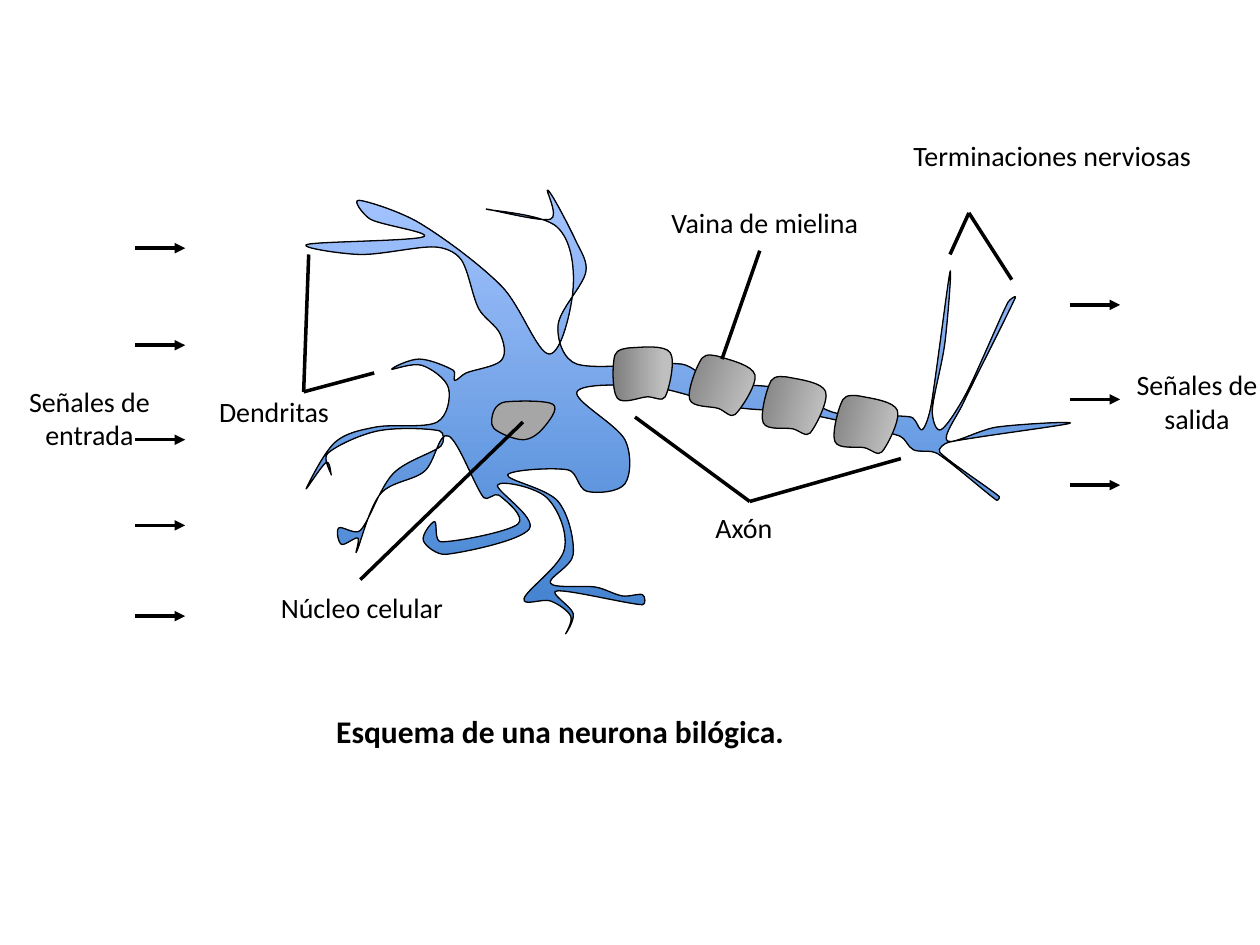
from math import hypot

from lxml import etree
from pptx import Presentation
from pptx.dml.color import RGBColor
from pptx.enum.shapes import MSO_CONNECTOR
from pptx.enum.text import MSO_AUTO_SIZE, PP_ALIGN
from pptx.oxml.ns import qn
from pptx.util import Inches, Pt

STRAIGHT = MSO_CONNECTOR.STRAIGHT
LEFT, CENTER = PP_ALIGN.LEFT, PP_ALIGN.CENTER
FIT_TEXT = MSO_AUTO_SIZE.SHAPE_TO_FIT_TEXT
BLACK = RGBColor(0x00, 0x00, 0x00)
DARK_BLUE = RGBColor(0x3F, 0x80, 0xCE)
LIGHT_BLUE = RGBColor(0xA4, 0xC4, 0xFF)
NUCLEUS_GRAY = RGBColor(0xA6, 0xA6, 0xA6)
DARK_GRAY = RGBColor(0x80, 0x80, 0x80)
LIGHT_GRAY = RGBColor(0xBF, 0xBF, 0xBF)

LEFT_DENDRITES = [
    (3.8, 2.45), (3.97, 2.65), (3.98, 2.86), (3.7, 2.96), (3.61, 3.02), (3.6, 2.94),
    (3.33, 2.85), (3.11, 2.93), (3.35, 2.9), (3.56, 3.08), (3.47, 3.35), (2.98, 3.39),
    (2.66, 3.51), (2.43, 3.88), (2.59, 3.67), (2.63, 3.77), (2.6, 3.6), (3, 3.42),
    (3.49, 3.42), (3.5, 3.54), (3.12, 3.76), (2.86, 4.21), (2.69, 4.19), (2.71, 4.32),
    (2.84, 4.27), (2.83, 4.38), (3.02, 3.92), (3.37, 3.74), (3.56, 3.46),
]
LOWER_DENDRITES = [
    (3.84, 3.95), (3.96, 3.93), (4.11, 4.16), (3.5, 4.3), (3.45, 4.14), (3.36, 4.29),
    (3.54, 4.4), (4.2, 4.2), (3.95, 3.85), (4.34, 3.95), (4.48, 4.36), (4.16, 4.75),
    (4.37, 4.77), (4.53, 4.89), (4.49, 5.03), (4.55, 4.87), (4.42, 4.69), (5.1, 4.8),
    (5.1, 4.72), (4.94, 4.73), (4.73, 4.66), (4.37, 4.63), (4.55, 4.4), (4.43, 3.98),
    (4.03, 3.77), (4.51, 3.73), (4.66, 3.9), (4.96, 3.84), (4.96, 3.49), (4.58, 3.11),
]
AXON = [
    (5.16, 3.07), (5.82, 3.23), (6.37, 3.28), (7.14, 3.46), (7.25, 3.57), (7.44, 3.6),
    (7.91, 3.97), (7.93, 3.94), (7.46, 3.59), (7.53, 3.51), (8.49, 3.36), (7.91, 3.39),
    (7.52, 3.5), (7.64, 3.21), (8.06, 2.36), (8, 2.4), (7.67, 3.12), (7.47, 3.41),
    (7.4, 3.26), (7.5, 2.72), (7.54, 2.16), (7.39, 3.22), (7.32, 3.41), (7.23, 3.31),
    (6.64, 3.28), (6.24, 3.09), (5.67, 3.03), (5.41, 2.89),
]
UPPER_DENDRITES = [
    (4.58, 2.89), (4.43, 2.58), (4.65, 2.16), (4.57, 1.91), (4.35, 1.51), (4.37, 1.74),
    (3.86, 1.66), (4.42, 1.8), (4.55, 2.28), (4.36, 2.81), (3.98, 2.27), (3.33, 1.77),
    (2.85, 1.59), (2.94, 1.74), (3.36, 1.88), (2.44, 1.94), (2.86, 2.02), (3.45, 1.96),
    (3.66, 2.06),
]
NEURON = LEFT_DENDRITES + LOWER_DENDRITES + AXON + UPPER_DENDRITES
NUCLEUS = [(4.01, 3.19), (3.92, 3.26), (3.92, 3.4), (4.15, 3.49), (4.31, 3.4), (4.39, 3.21)]
SHEATH = [(0.01, 0.06), (0.03, 0.4), (0.27, 0.39), (0.41, 0.39), (0.45, 0.04), (0.15, 0)]

presentation = Presentation()
presentation.slide_width = Inches(10)
presentation.slide_height = Inches(7.5)
slide = presentation.slides.add_slide(presentation.slide_layouts[6])


def add_smooth_outline(anchors, colors, angle=0, last_stop=1.0):
    points = [(Inches(x), Inches(y)) for x, y in anchors]
    builder = slide.shapes.build_freeform(*points[0])
    builder.add_line_segments(points[1:] + points[:1], close=True)
    shape = builder.convert_to_shape()
    left = min(x for x, y in points)
    top = min(y for x, y in points)
    count = len(points)
    for index, segment in enumerate(shape._element.findall(".//" + qn("a:lnTo"))):
        before, start, end, after = [points[(index + step) % count] for step in (-1, 0, 1, 2)]
        length = hypot(end[0] - start[0], end[1] - start[1])
        handles = []
        for anchor, tail, head in ((start, before, end), (end, after, start)):
            dx, dy = head[0] - tail[0], head[1] - tail[1]
            reach = min(1 / 6, length / 3 / max(hypot(dx, dy), 1))
            handles.append((anchor[0] + dx * reach, anchor[1] + dy * reach))
        segment.clear()
        segment.tag = qn("a:cubicBezTo")
        for x, y in handles + [end]:
            etree.SubElement(segment, qn("a:pt"), x=str(round(x - left)), y=str(round(y - top)))
    shape.shadow.inherit = False
    shape.line.color.rgb = BLACK
    shape.line.width = Pt(0.75)
    if len(colors) == 1:
        shape.fill.solid()
        shape.fill.fore_color.rgb = colors[0]
    else:
        shape.fill.gradient()
        shape.fill.gradient_angle = angle
        for stop, color, position in zip(shape.fill.gradient_stops, colors, (0, last_stop)):
            stop.color.rgb = color
            stop.position = position
    return shape


def add_line(start, end, arrow=False):
    connector = slide.shapes.add_connector(STRAIGHT, *[Inches(value) for value in start + end])
    connector.line.color.rgb = BLACK
    connector.line.width = Pt(2)
    if arrow:
        etree.SubElement(connector.line._get_or_add_ln(), qn("a:tailEnd"), type="triangle")
    etree.SubElement(connector._element.spPr, qn("a:effectLst"))


add_smooth_outline(NEURON, [DARK_BLUE, LIGHT_BLUE], angle=90)
add_smooth_outline(NUCLEUS, [NUCLEUS_GRAY])

for left, top, rotation in [(4.87, 2.76, 0), (5.5, 2.85, 20), (6.07, 3.01, 13.9), (6.64, 3.16, 13.9)]:
    anchors = [(left + x, top + y) for x, y in SHEATH]
    sheath = add_smooth_outline(anchors, [DARK_GRAY, LIGHT_GRAY], last_stop=0.87)
    sheath.rotation = rotation

pointers = [
    ((7.69, 1.69), [(7.54, 2.02), (8.03, 2.22)]),
    ((6.03, 1.99), [(5.73, 2.85)]),
    ((2.86, 4.6), [(4.15, 3.35)]),
    ((2.41, 3.11), [(2.45, 2.02), (2.97, 2.96)]),
    ((5.95, 3.98), [(5.04, 3.31), (7.15, 3.64)]),
]
for apex, tips in pointers:
    for tip in tips:
        add_line(apex, tip)

signals = [(1.07, (1.97, 2.74, 3.49, 4.17, 4.89)), (8.49, (2.42, 3.17, 3.85))]
for left, heights in signals:
    for height in heights:
        add_line((left, height), (left + 0.4, height), arrow=True)

part_box = (2.45, 0.37, 16, False, LEFT)
signal_box = (1.78, 0.64, 16, False, CENTER)
caption_box = (5.74, 0.4, 18, True, LEFT)
labels = [
    (7.15, 1.05, ["Terminaciones nerviosas"], part_box),
    (5.23, 1.58, ["Vaina de mielina"], part_box),
    (2.13, 4.64, ["Núcleo celular"], part_box),
    (1.64, 3.08, ["Dendritas"], part_box),
    (5.58, 4, ["Axón"], part_box),
    (-0.18, 3, ["Señales de entrada"], signal_box),
    (8.61, 2.87, ["Señales de", "salida"], signal_box),
    (2.57, 5.6, ["Esquema de una neurona bilógica."], caption_box),
]
for left, top, lines, (width, height, size, bold, alignment) in labels:
    text_box = slide.shapes.add_textbox(Inches(left), Inches(top), Inches(width), Inches(height))
    text_frame = text_box.text_frame
    text_frame.word_wrap = True
    text_frame.auto_size = FIT_TEXT
    for index, line in enumerate(lines):
        paragraph = text_frame.add_paragraph() if index else text_frame.paragraphs[0]
        paragraph.alignment = alignment
        run = paragraph.add_run()
        run.text = line
        run.font.name = "Calibri"
        run.font.size = Pt(size)
        run.font.bold = bold
        run.font.color.rgb = BLACK

presentation.save("out.pptx")
